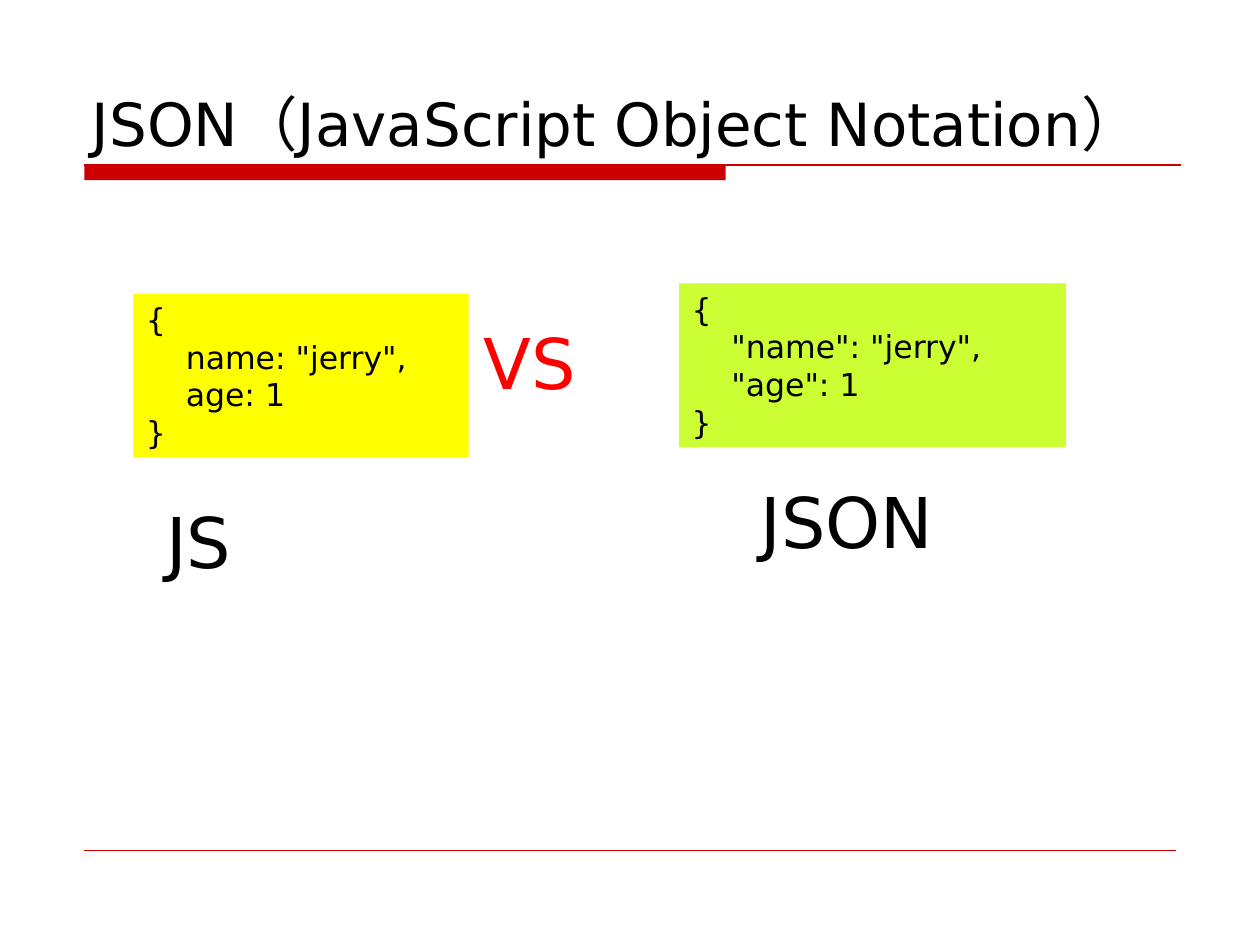
from pptx import Presentation
from pptx.dml.color import RGBColor
from pptx.enum.shapes import MSO_CONNECTOR, MSO_SHAPE
from pptx.enum.text import MSO_ANCHOR, MSO_AUTO_SIZE, PP_ALIGN
from pptx.oxml.ns import qn
from pptx.util import Inches, Pt
from lxml import etree

RECT = MSO_SHAPE.RECTANGLE
LINE = MSO_CONNECTOR.STRAIGHT
LEFT = PP_ALIGN.LEFT
TOP, BOTTOM = MSO_ANCHOR.TOP, MSO_ANCHOR.BOTTOM
FIXED = MSO_AUTO_SIZE.NONE

FONT = "DejaVu Sans"
HUES = {"rule": "CC0000", "text": "000000", "versus": "FF0000",
        "js": "FFFF00", "json": "CCFF33"}

TITLE = "JSON（JavaScript Object Notation）"
CODES = [
    (["{", '    "name": "jerry",', '    "age": 1', "}"],
     (5.39, 2.25, 3.07, 1.3), "json"),
    (["{", '    name: "jerry",', "    age: 1", "}"],
     (1.06, 2.33, 2.66, 1.3), "js"),
]
LABELS = [
    ("JS", (1.22, 3.91, 1.68, 0.77), "text"),
    ("JSON", (5.94, 3.75, 2.52, 0.77), "text"),
    ("VS", (3.74, 2.49, 1.68, 0.77), "versus"),
]
RULES = [(9.37, 1.31, 0.75), (9.33, 6.75, 0.25)]
EDGE = 0.67


def hue(name):
    return RGBColor.from_string(HUES[name])


def box(spot):
    return [Inches(n) for n in spot]


def write(shape, text, size, tint="text", anchor=TOP):
    frame = shape.text_frame
    frame.text = text
    frame.word_wrap = True
    frame.auto_size = FIXED
    frame.vertical_anchor = anchor
    for para in frame.paragraphs:
        para.alignment = LEFT
        for run in para.runs:
            run.font.name = FONT
            run.font.size = Pt(size)
            run.font.color.rgb = hue(tint)


def block(slide, spot, tint):
    shape = slide.shapes.add_shape(RECT, *box(spot))
    shape.shadow.inherit = False
    shape.fill.solid()
    shape.fill.fore_color.rgb = hue(tint)
    shape.line.fill.background()
    return shape


def rule(slide, end, top, width):
    line = slide.shapes.add_connector(
        LINE, *box((EDGE, top, end, top)))
    line.line.color.rgb = hue("rule")
    line.line.width = Pt(width)
    etree.SubElement(line._element.spPr, qn("a:effectLst"))


def main():
    deck = Presentation()
    deck.slide_width, deck.slide_height = Inches(10), Inches(7.5)
    slide = deck.slides.add_slide(deck.slide_layouts[5])

    block(slide, (EDGE, 1.31, 5.09, 0.12), "rule")
    for item in RULES:
        rule(slide, *item)

    title = slide.shapes.title
    title.left, title.top, title.width, title.height = box(
        (0.63, 0.33, 8.75, 0.98))
    write(title, TITLE, 34, anchor=BOTTOM)

    for lines, spot, tint in CODES:
        write(block(slide, spot, tint), "\n".join(lines), 18)
    for text, spot, tint in LABELS:
        write(slide.shapes.add_textbox(*box(spot)), text, 40, tint)

    deck.save("out.pptx")


if __name__ == "__main__":
    main()
